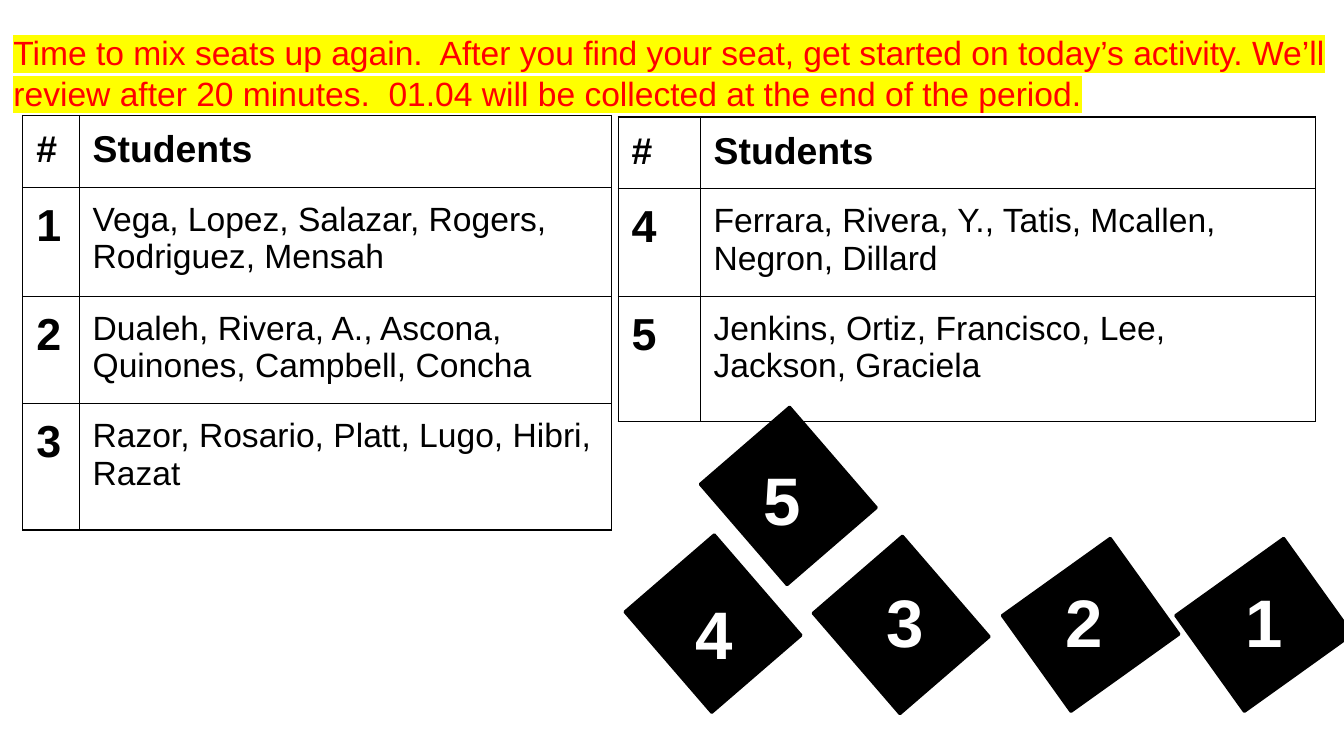
from lxml.etree import SubElement
from pptx import Presentation
from pptx.dml.color import RGBColor
from pptx.enum.shapes import MSO_SHAPE
from pptx.enum.text import MSO_ANCHOR, MSO_AUTO_SIZE, PP_ALIGN
from pptx.oxml import parse_xml
from pptx.oxml.ns import nsdecls, qn
from pptx.util import Inches, Pt

BLACK = RGBColor(0, 0, 0)
WHITE = RGBColor(255, 255, 255)
RED = RGBColor(255, 0, 0)
YELLOW = RGBColor(255, 255, 0)
FONT = "Arial"
INSET = Inches(0.1)

NOTICE = (
    "Time to mix seats up again.  After you find your seat, get started on today’s activity. "
    "We’ll review after 20 minutes.  01.04 will be collected at the end of the period."
)
GROUPS_LEFT = [
    ("1", "Vega, Lopez, Salazar, Rogers, Rodriguez, Mensah"),
    ("2", "Dualeh, Rivera, A., Ascona, Quinones, Campbell, Concha"),
    ("3", "Razor, Rosario, Platt, Lugo, Hibri, Razat"),
]
GROUPS_RIGHT = [
    ("4", "Ferrara, Rivera, Y., Tatis, Mcallen, Negron, Dillard"),
    ("5", "Jenkins, Ortiz, Francisco, Lee, Jackson, Graciela"),
]
DESKS = [
    (7.62, 4.21, 324.4),
    (8.91, 4.21, 324.4),
    (6.21, 4.21, 49.2),
    (4.81, 4.2, 49.2),
    (5.37, 3.25, 49.2),
]
DESK_LABELS = [
    ("1", 9.17, 4.22),
    ("2", 7.83, 4.22),
    ("3", 6.5, 4.22),
    ("4", 5.08, 4.31),
    ("5", 5.58, 3.31),
]


def set_insets(box):
    """Give a text frame or a cell equal margins."""
    box.margin_left = box.margin_right = INSET
    box.margin_top = box.margin_bottom = INSET


def add_run(p, text, size, color, bold=False):
    """Add one formatted run to a single-spaced paragraph."""
    p.line_spacing = 1.0
    r = p.add_run()
    r.text = text
    r.font.name = FONT
    r.font.size = Pt(size)
    r.font.bold = bold
    r.font.color.rgb = color
    return r


def highlight(r, color):
    """Mark a run with a background colour."""
    mark = parse_xml(f'<a:highlight {nsdecls("a")}><a:srgbClr val="{color}"/></a:highlight>')
    r.font.fill._xPr.find(qn("a:solidFill")).addnext(mark)


def add_notice(s):
    """Fill the title with the highlighted notice."""
    sp = s.shapes.title
    sp.left, sp.top, sp.width, sp.height = Inches(0), Inches(0.14), Inches(10), Inches(0.65)
    tf = sp.text_frame
    tf.word_wrap = True
    tf.auto_size = MSO_AUTO_SIZE.NONE
    tf.vertical_anchor = MSO_ANCHOR.TOP
    set_insets(tf)
    p = tf.paragraphs[0]
    p.alignment = PP_ALIGN.LEFT
    highlight(add_run(p, NOTICE, 18, RED), YELLOW)


def add_desk(s, left, top, rotation):
    """Draw one rotated desk."""
    sp = s.shapes.add_shape(
        MSO_SHAPE.RECTANGLE, Inches(left), Inches(top), Inches(0.99), Inches(0.88)
    )
    sp.rotation = rotation
    sp.shadow.inherit = False
    sp.fill.solid()
    sp.fill.fore_color.rgb = BLACK
    sp.line.color.rgb = BLACK
    sp.line.width = Pt(1.5)


def add_desk_label(s, number, left, top):
    """Write a desk number."""
    tf = s.shapes.add_textbox(Inches(left), Inches(top), Inches(0.47), Inches(0.7)).text_frame
    tf.word_wrap = True
    set_insets(tf)
    add_run(tf.paragraphs[0], number, 36, WHITE, True)


def set_borders(cell):
    """Outline a cell with thin black lines."""
    tc_pr = cell._tc.get_or_add_tcPr()
    for i, side in enumerate(("lnL", "lnR", "lnT", "lnB")):
        ln = SubElement(tc_pr, qn(f"a:{side}"), w=str(Pt(0.75)))
        fill = SubElement(ln, qn("a:solidFill"))
        SubElement(fill, qn("a:srgbClr"), val=str(BLACK))
        tc_pr.insert(i, ln)


def fill_cell(cell, text, size, bold):
    """Write and format one table cell."""
    set_insets(cell)
    cell.fill.background()
    set_borders(cell)
    add_run(cell.text_frame.paragraphs[0], text, size, BLACK, bold)


def add_seating_table(s, left, top, widths, heights, groups):
    """Add a table of numbered student groups."""
    table = s.shapes.add_table(
        len(heights), len(widths), Inches(left), Inches(top),
        Inches(sum(widths)), Inches(sum(heights)),
    ).table
    table.first_row = table.horz_banding = False
    for column, width in zip(table.columns, widths):
        column.width = Inches(width)
    for row, height in zip(table.rows, heights):
        row.height = Inches(height)
    fill_cell(table.cell(0, 0), "#", 20, True)
    fill_cell(table.cell(0, 1), "Students", 20, True)
    for i, (number, students) in enumerate(groups, 1):
        fill_cell(table.cell(i, 0), number, 24, True)
        fill_cell(table.cell(i, 1), students, 18, False)


def main():
    """Build the seating slide."""
    prs = Presentation()
    prs.slide_width = Inches(10)
    prs.slide_height = prs.slide_width * 9 // 16
    s = prs.slides.add_slide(prs.slide_layouts[5])
    add_notice(s)
    for desk in DESKS:
        add_desk(s, *desk)
    for label in DESK_LABELS:
        add_desk_label(s, *label)
    add_seating_table(s, 0.17, 0.86, (0.42, 3.96), (0.48, 0.81, 0.72, 0.94), GROUPS_LEFT)
    add_seating_table(s, 4.6, 0.87, (0.61, 4.58), (0.49, 0.74, 0.93), GROUPS_RIGHT)
    prs.save("out.pptx")


if __name__ == "__main__":
    main()
